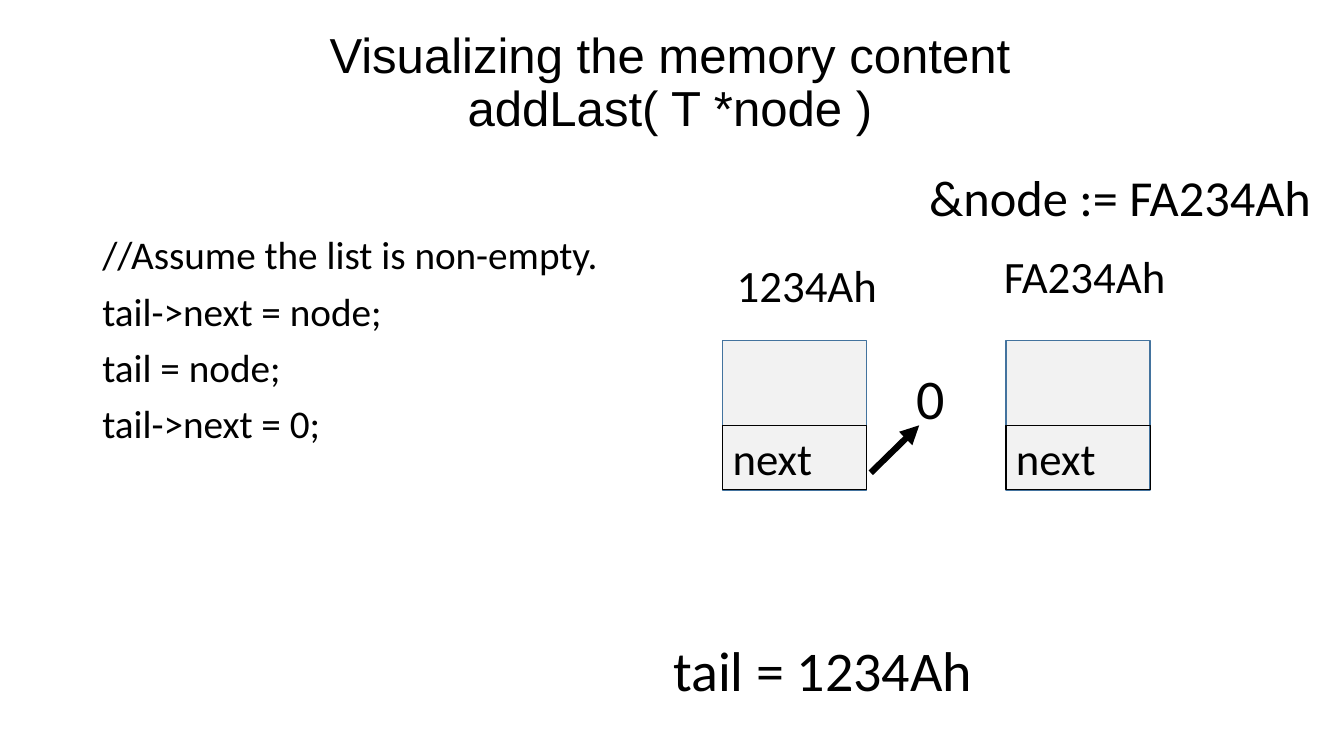
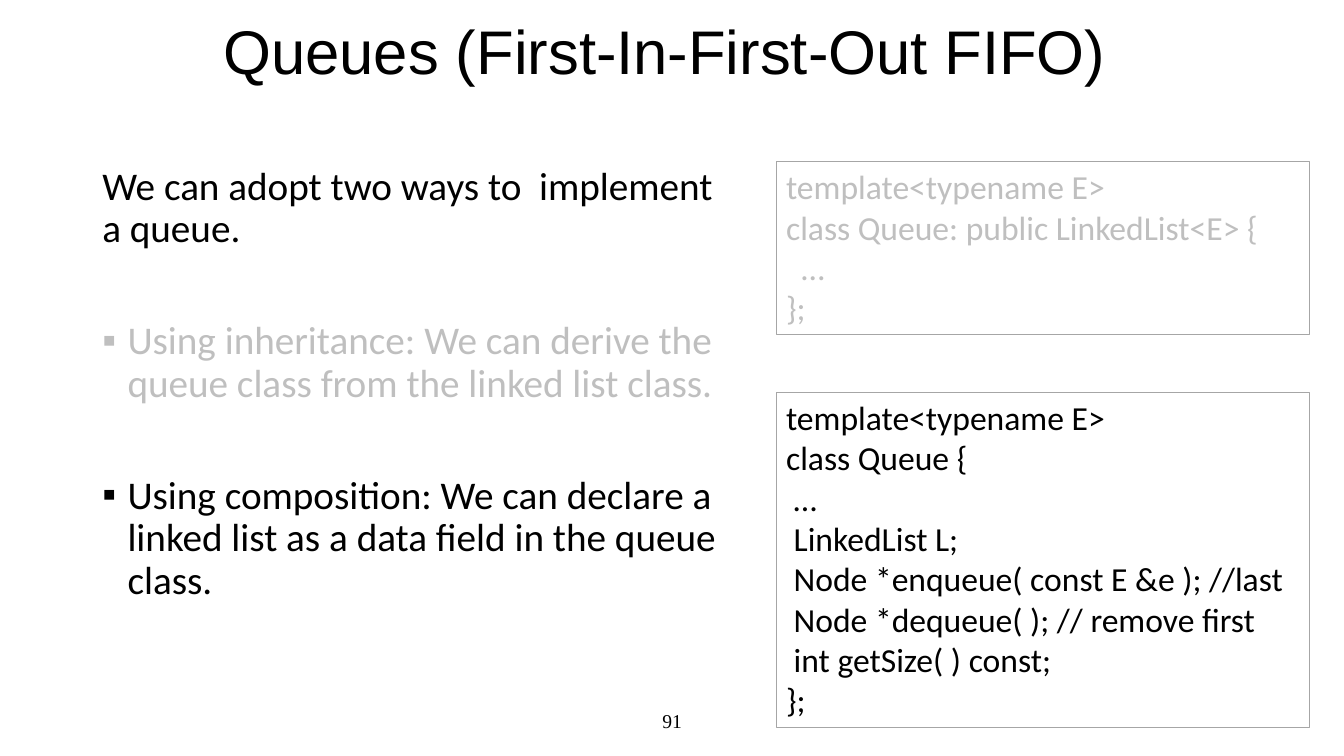
from dataclasses import dataclass
from typing import NamedTuple

from lxml.etree import SubElement
from pptx import Presentation
from pptx.dml.color import RGBColor
from pptx.enum.shapes import MSO_CONNECTOR, MSO_SHAPE
from pptx.enum.text import MSO_ANCHOR, PP_ALIGN
from pptx.oxml.ns import qn
from pptx.util import Pt


@dataclass(frozen=True)
class Theme:
    ink: str = "000000"
    dim: str = "BFBFBF"
    frame: str = "A6A6A6"
    cell: str = "F2F2F2"
    edge: str = "43739E"
    head: str = "Arial"
    text: str = "Calibri"
    foot: str = "Times New Roman"
    big: float = 44
    title: float = 35.1
    value: float = 40
    note: float = 36
    label: float = 32
    body: float = 28
    code: float = 24
    page: float = 14


class Box(NamedTuple):
    x: float
    y: float
    w: float
    h: float

    def lengths(self) -> list[Pt]:
        return [Pt(v) for v in self]


class Label(NamedTuple):
    text: str
    box: Box
    size: float


class Item(NamedTuple):
    text: str
    before: float = 0
    bullet: bool = False
    color: str = "000000"


class Code(NamedTuple):
    text: str
    box: Box
    color: str


class Node(NamedTuple):
    x: float
    y: float = 243.4
    w: float = 103
    h: float = 106.6
    split: float = 60.4


T = Theme()
GAP = 10  # between body paragraphs
WIDE_GAP = 50  # between body groups
INDENT = 18

LABELS = [
    Label("tail = 1234Ah", Box(473.8, 450.7, 233.3, 55.4), T.value),
    Label("&node := FA234Ah", Box(656.6, 115.2, 290.2, 51.1), T.note),
    Label("0", Box(647.3, 256.3, 38.2, 55.4), T.value),
    Label("1234Ah", Box(519.1, 180.7, 115.9, 46), T.label),
    Label("FA234Ah", Box(709.9, 174.2, 131, 46), T.label),
]
NODES = [Node(516.2), Node(718.6)]
STEPS = [
    Item("//Assume the list is non-empty."),
    Item("tail->next = node;", GAP),
    Item("tail = node;", GAP),
    Item("tail->next = 0;", GAP),
]
WAYS = [
    Item("We can adopt two ways to  implement a queue."),
    Item("Using inheritance: We can derive the queue class from the "
         "linked list class.", WIDE_GAP, True, T.dim),
    Item("Using composition: We can declare a linked list as a data "
         "field in the queue class.", WIDE_GAP, True),
]
CODES = [
    Code("""template<typename E>
class Queue: public LinkedList<E> {
  …
};""", Box(554.4, 115.2, 380.9, 123.8), T.dim),
    Code("""template<typename E>
class Queue {
 …
 LinkedList L;
 Node *enqueue( const E &e ); //last
 Node *dequeue( ); // remove first
 int getSize( ) const;
};""", Box(554.4, 280.1, 380.9, 239.8), T.ink),
]


def style(frame, size: float, font: str = T.text, color: str = T.ink,
          align=PP_ALIGN.LEFT, lead: float = 1.0) -> None:
    for para in frame.paragraphs:
        para.alignment = align
        para.line_spacing = lead
        for run in para.runs:
            run.font.size = Pt(size)
            run.font.name = font
            run.font.color.rgb = RGBColor.from_string(color)


def add_text(slide, text: str, box: Box, size: float, wrap: bool = True,
             **look):
    frame = slide.shapes.add_textbox(*box.lengths()).text_frame
    frame.word_wrap = wrap
    frame.text = text
    style(frame, size, **look)
    return frame


def add_title(slide, text: str, box: Box, size: float) -> None:
    frame = add_text(slide, text, box, size, font=T.head,
                     align=PP_ALIGN.CENTER, lead=0.9)
    frame.vertical_anchor = MSO_ANCHOR.MIDDLE


def add_body(slide, items: list[Item], box: Box) -> None:
    frame = add_text(slide, "\n".join(i.text for i in items), box, T.body,
                     lead=0.9)
    for para, item in zip(frame.paragraphs, items):
        para.space_before = Pt(item.before)
        if item.bullet:
            props = para._p.get_or_add_pPr()
            props.set("marL", str(Pt(INDENT)))
            props.set("indent", str(-Pt(INDENT)))
            SubElement(props, qn("a:buFont"), typeface="Arial")
            SubElement(props, qn("a:buChar"), char="▪")
        para.runs[0].font.color.rgb = RGBColor.from_string(item.color)


def add_rect(slide, box: Box, line: str, width: float = 0.75,
             fill: str = ""):
    rect = slide.shapes.add_shape(MSO_SHAPE.RECTANGLE, *box.lengths())
    rect.shadow.inherit = False
    if fill:
        rect.fill.solid()
        rect.fill.fore_color.rgb = RGBColor.from_string(fill)
    else:
        rect.fill.background()
    rect.line.color.rgb = RGBColor.from_string(line)
    rect.line.width = Pt(width)
    rect.text_frame.vertical_anchor = MSO_ANCHOR.TOP
    return rect


def add_node(slide, node: Node) -> None:
    """Draw a list cell with its next field in the lower part."""
    add_rect(slide, Box(node.x, node.y, node.w, node.h), T.edge, 1, T.cell)
    field = Box(node.x, node.y + node.split, node.w, node.h - node.split)
    frame = add_rect(slide, field, T.ink).text_frame
    frame.text = "next"
    style(frame, T.label)


def add_code(slide, code: Code) -> None:
    frame = add_rect(slide, code.box, T.frame).text_frame
    frame.word_wrap = True
    frame.text = code.text
    style(frame, T.code, color=code.color)


def add_arrow(slide, x1: float, y1: float, x2: float, y2: float) -> None:
    ends = [Pt(v) for v in (x1, y1, x2, y2)]
    arrow = slide.shapes.add_connector(MSO_CONNECTOR.STRAIGHT, *ends)
    arrow.line.color.rgb = RGBColor.from_string(T.ink)
    arrow.line.width = Pt(4.5)
    SubElement(arrow.line._get_or_add_ln(), qn("a:tailEnd"), type="triangle")
    SubElement(arrow._element.spPr, qn("a:effectLst"))


def draw_memory(slide) -> None:
    add_body(slide, STEPS, Box(66, 164.9, 828, 342.7))
    for node in NODES:
        add_node(slide, node)
    add_arrow(slide, 622, 337.7, 656.6, 303.8)
    for label in LABELS:
        add_text(slide, label.text, label.box, label.size, wrap=False)
    add_title(slide, "Visualizing the memory content\naddLast( T *node )",
              Box(27.4, 7.2, 902.2, 105.8), T.title)


def draw_queue(slide) -> None:
    page = add_text(slide, "91", Box(318.2, 500.4, 324, 28.8), T.page,
                    font=T.foot, align=PP_ALIGN.CENTER)
    page.vertical_anchor = MSO_ANCHOR.MIDDLE
    add_title(slide, "Queues (First-In-First-Out FIFO)",
              Box(30.2, 5.8, 889.9, 66.2), T.big)
    add_body(slide, WAYS, Box(66, 115.2, 468.7, 342.7))
    for code in CODES:
        add_code(slide, code)


def main() -> None:
    deck = Presentation()
    deck.slide_width, deck.slide_height = Pt(960), Pt(540)
    for draw in (draw_memory, draw_queue):
        draw(deck.slides.add_slide(deck.slide_layouts[6]))
    deck.save("out.pptx")


if __name__ == "__main__":
    main()
